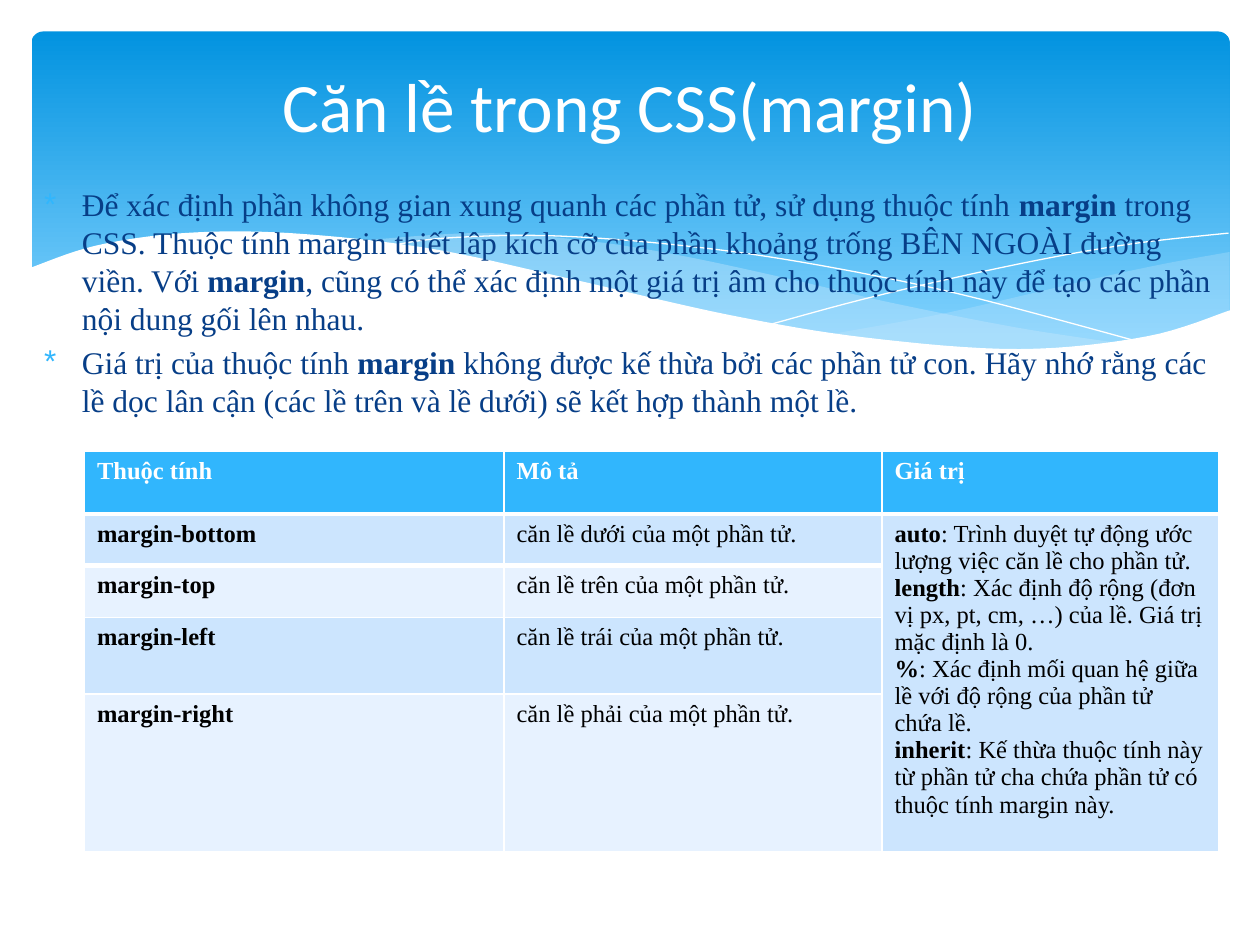
"""Build a slide on CSS margins with a wave banner and a property table."""
from dataclasses import dataclass
from typing import Optional

from pptx import Presentation
from pptx import util as u
from pptx.dml.color import RGBColor
from pptx.enum import shapes, text
from pptx.oxml import parse_xml
from pptx.oxml.ns import nsdecls, qn

WHITE = RGBColor(0xFF, 0xFF, 0xFF)
BLACK = RGBColor(0, 0, 0)
NAVY = RGBColor(0x07, 0x3E, 0x87)
SKY = RGBColor(0x31, 0xB6, 0xFD)
DEEP = RGBColor(0x02, 0x93, 0xE0)
LIGHT = RGBColor(0x81, 0xD2, 0xFE)
MIST = RGBColor(0xC6, 0xE7, 0xFC)
BANDS = (RGBColor(0xCC, 0xE5, 0xFE), RGBColor(0xE7, 0xF2, 0xFF))
SERIF = "Times New Roman"
STEPS = 8


@dataclass
class Wave:
    """Smooth edges in sequence, filled, or a white line when there is no fill."""
    edges: list
    fill: Optional[RGBColor] = None
    alpha: int = 100


TIP = Wave([
    [(9.76, 2), (9.21, 2.1), (8.61, 2.23), (7.53, 2.48), (6.61, 2.65)],
    [(6.61, 2.65), (7.19, 2.72), (7.69, 2.77), (8.24, 2.77), (8.89, 2.72), (9.42, 2.59),
     (9.76, 2.47)],
], MIST, 29)
SWELL = Wave([
    [(8.93, 2.73), (8.07, 2.6), (7.06, 2.4), (6.29, 2.22), (5.41, 2.03), (4.65, 1.91),
     (3.8, 1.85), (2.86, 1.91)],
    [(2.86, 1.91), (3.62, 2.03), (4.49, 2.22), (5.66, 2.48), (6.8, 2.68), (7.85, 2.78),
     (8.93, 2.73)],
], MIST, 40)
FALL = Wave([[(3.09, 1.95), (3.53, 1.89), (4.33, 1.87), (5.33, 1.94), (6.36, 2.08),
              (7.6, 2.33), (9.07, 2.72)]])
RISE = Wave([[(6.13, 2.57), (6.95, 2.35), (8.06, 2.1), (8.95, 1.94), (9.75, 1.85)]])
FLOOR = Wave([
    [(9.77, 2.46), (9.1, 2.67), (8.09, 2.77), (6.88, 2.68), (5.79, 2.5), (4.47, 2.2),
     (3.4, 1.97), (2.3, 1.85), (1.46, 1.85), (0.76, 1.95), (0.23, 2.13)],
    [(0.23, 3.29), (9.77, 3.29)],
], WHITE)

POINTS = (
    "Để xác định phần không gian xung quanh các phần tử, sử dụng thuộc tính\u00a0|margin |"
    "trong CSS. Thuộc tính margin thiết lâp kích cỡ của phần khoảng trống BÊN NGOÀI đường "
    "viền. Với |margin|, cũng có thể xác định một giá trị âm cho thuộc tính này để tạo các "
    "phần nội dung gối lên nhau.",
    "Giá trị của thuộc tính |margin| không được kế thừa bởi các phần tử con. Hãy nhớ rằng "
    "các lề dọc lân cận (các lề trên và lề dưới) sẽ kết hợp thành một lề.",
)
HEADS = ("Thuộc tính", "Mô tả", "Giá trị")
SIDES = {"bottom": "dưới", "top": "trên", "left": "trái", "right": "phải"}
VALUES = (
    "|auto|: Trình duyệt tự động ước lượng việc căn lề cho phần tử.",
    "|length|: Xác định độ rộng (đơn vị px, pt, cm, …) của lề. Giá trị mặc định là 0.",
    "|%|: Xác định mối quan hệ giữa lề với độ rộng của phần tử chứa lề.",
    "|inherit|: Kế thừa thuộc tính này từ phần tử cha chứa phần tử có thuộc tính margin này.",
)
COLS = (3.33, 3, 2.67)
ROWS = (0.5, 0.41, 0.41, 0.61, 1.25)


def write(frame, paras, size: float, color: RGBColor, face: str = SERIF) -> None:
    """Write paragraphs whose runs alternate plain and bold at each bar."""
    for num, words in enumerate(paras):
        para = frame.add_paragraph() if num else frame.paragraphs[0]
        for part, piece in enumerate(words.split("|")):
            if piece:
                run = para.add_run()
                run.text = piece
                run.font.size, run.font.name = u.Pt(size), face
                run.font.bold = part % 2 == 1
                run.font.color.rgb = color


def place(shape, left: float, top: float, width: float, height: float) -> None:
    """Move and size a placeholder, fix its text size and bring it to the front."""
    shape.left, shape.top = u.Inches(left), u.Inches(top)
    shape.width, shape.height = u.Inches(width), u.Inches(height)
    shape.text_frame.auto_size = text.MSO_AUTO_SIZE.NONE
    shape.element.getparent().append(shape.element)


def blend(a: float, b: float, c: float, d: float, t: float) -> float:
    """Return the Catmull-Rom value at t between b and c."""
    return b + t / 2 * (c - a + t * (2*a - 5*b + 4*c - d + t * (3*b - a - 3*c + d)))


def smooth(knots: list) -> list:
    """Return points in EMU along a smooth curve through the knots."""
    ends = [knots[0], *knots, knots[-1]]
    curve = [tuple(blend(*axis, step / STEPS) for axis in zip(*ends[i:i + 4]))
             for i in range(len(knots) - 1) for step in range(STEPS)]
    return [(u.Inches(x), u.Inches(y)) for x, y in [*curve, knots[-1]]]


def draw(slide, wave: Wave) -> None:
    """Draw one wave of the banner."""
    dots = [dot for edge in wave.edges for dot in smooth(edge)]
    pen = slide.shapes.build_freeform(*dots[0], scale=1.0)
    pen.add_line_segments(dots[1:], close=wave.fill is not None)
    shape = pen.convert_to_shape()
    shape.shadow.inherit = False
    if wave.fill is None:
        shape.fill.background()
        shape.line.color.rgb, shape.line.width = WHITE, u.Pt(0.75)
        return
    shape.fill.solid()
    shape.fill.fore_color.rgb = wave.fill
    shape.line.fill.background()
    if wave.alpha < 100:
        tone = shape.element.spPr.find(qn("a:solidFill"))[0]
        tone.append(parse_xml(f'<a:alpha {nsdecls("a")} val="{wave.alpha * 1000}"/>'))


def banner(slide) -> None:
    """Draw the gradient panel and its waves."""
    panel = slide.shapes.add_shape(shapes.MSO_SHAPE.ROUNDED_RECTANGLE, u.Inches(0.25),
                                   u.Inches(0.25), u.Inches(9.51), u.Inches(2.7))
    panel.adjustments[0] = 0.034
    panel.shadow.inherit = False
    panel.line.fill.background()
    panel.fill.gradient()
    panel.fill.gradient_angle = 270
    for stop, color, pos in zip(panel.fill.gradient_stops, (DEEP, LIGHT), (0, 0.9)):
        stop.color.rgb, stop.position = color, pos
    for wave in (TIP, SWELL, FALL, RISE, FLOOR):
        draw(slide, wave)


def bullets(body) -> None:
    """Fill the body with starred points."""
    place(body, 0.25, 1.42, 9.5, 5.28)
    write(body.text_frame, POINTS, 18, NAVY)
    for num, para in enumerate(body.text_frame.paragraphs):
        para.space_before = u.Pt(3.6 if num else 0)
        props = para._p.get_or_add_pPr()
        props.set("marL", str(u.Inches(0.3)))
        props.set("indent", str(-u.Inches(0.3)))
        for mark in (f'<a:buClr {nsdecls("a")}><a:srgbClr val="{SKY}"/></a:buClr>',
                     f'<a:buChar {nsdecls("a")} char="*"/>'):
            props.append(parse_xml(mark))


def head(title) -> None:
    """Write the title in the upper part of its box."""
    place(title, 0.5, 0.58, 9, 1.16)
    frame = title.text_frame
    frame.vertical_anchor = text.MSO_ANCHOR.MIDDLE
    frame.margin_bottom = u.Inches(0.71)
    write(frame, ["Căn lề trong CSS(margin)"], 39.6, WHITE, "Calibri")
    frame.paragraphs[0].alignment = text.PP_ALIGN.CENTER


def rule(cell, side: str) -> None:
    """Draw a thick white border on one side of a cell."""
    cell._tc.get_or_add_tcPr().insert(0, parse_xml(
        f'<a:{side} {nsdecls("a")} w="{u.Pt(3)}"><a:solidFill>'
        f'<a:srgbClr val="{WHITE}"/></a:solidFill></a:{side}>'))


def grid(slide) -> None:
    """Add the table of margin properties."""
    table = slide.shapes.add_table(len(ROWS), len(COLS), u.Inches(0.67), u.Inches(3.58),
                                   u.Inches(sum(COLS)), u.Inches(sum(ROWS))).table
    for col, width in zip(table.columns, COLS):
        col.width = u.Inches(width)
    table.cell(1, 2).merge(table.cell(4, 2))
    cells = [[[f"|{name}"] for name in HEADS]]
    cells += [[[f"|margin-{side}"], [f"căn lề {word} của một phần tử."]]
              for side, word in SIDES.items()]
    cells[1].append(VALUES)
    for num, (row, height, paras) in enumerate(zip(table.rows, ROWS, cells)):
        row.height = u.Inches(height)
        for cell in row.cells:
            cell.fill.solid()
            cell.fill.fore_color.rgb = BANDS[(num - 1) % 2] if num else SKY
            if num < 2:
                rule(cell, ("lnB", "lnT")[num])
        for cell, lines in zip(row.cells, paras):
            write(cell.text_frame, lines, 14, BLACK if num else WHITE)


def main() -> None:
    """Build and save the slide."""
    deck = Presentation()
    deck.slide_width, deck.slide_height = u.Inches(10), u.Inches(7.5)
    slide = deck.slides.add_slide(deck.slide_layouts[1])
    banner(slide)
    bullets(slide.placeholders[1])
    head(slide.shapes.title)
    grid(slide)
    deck.save("out.pptx")


main()
